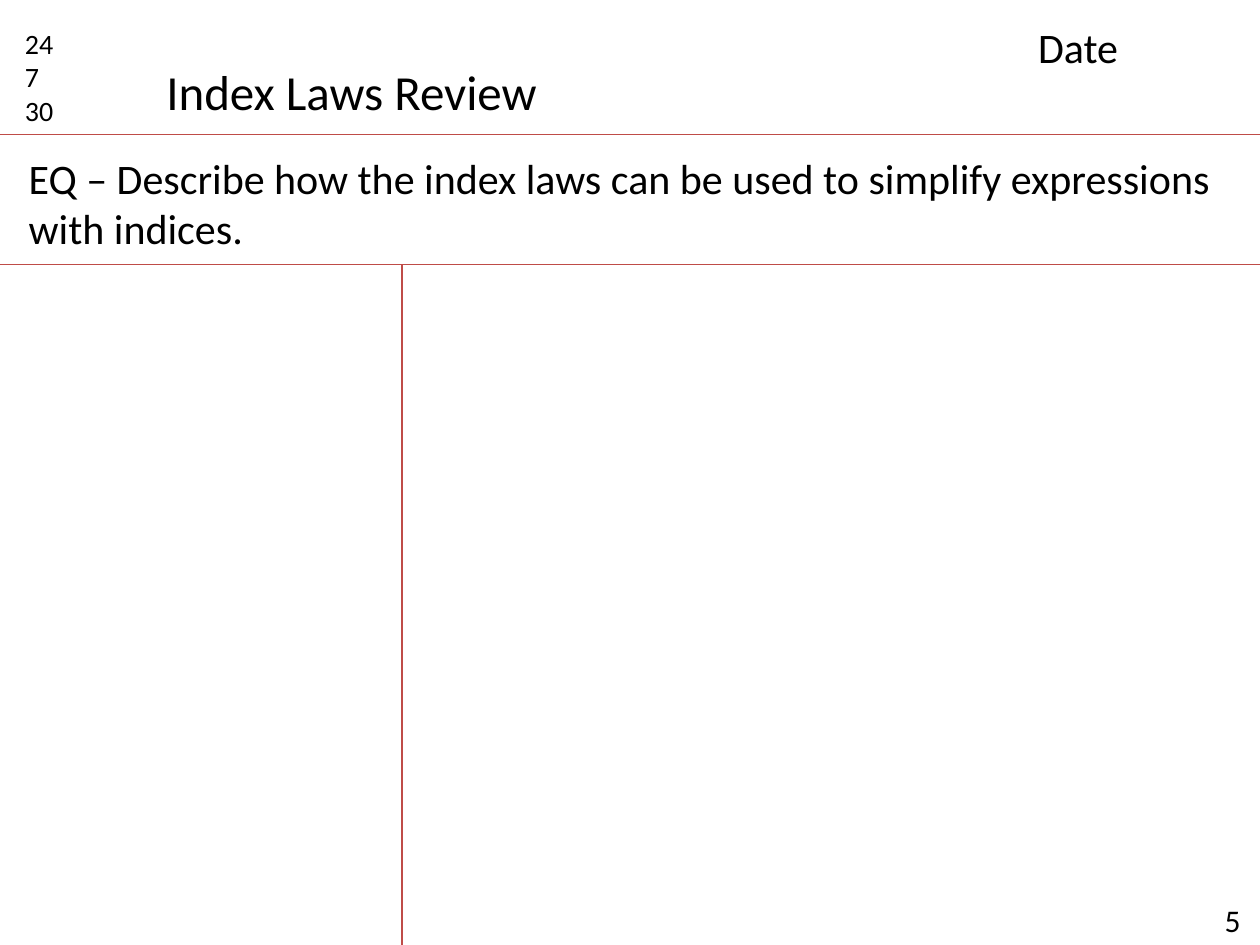
from lxml.etree import SubElement
from pptx import Presentation
from pptx.dml.color import RGBColor
from pptx.enum.shapes import MSO_CONNECTOR
from pptx.enum.text import MSO_ANCHOR, PP_ALIGN
from pptx.oxml.ns import qn
from pptx.util import Inches, Pt

HEADER_BOTTOM = 1.07
QUESTION_BOTTOM = 2.1
NOTES_LEFT = 3.19


def color(value):
    return RGBColor.from_string(value)


def place(shape, left, top, width, height):
    shape.left, shape.top = Inches(left), Inches(top)
    shape.width, shape.height = Inches(width), Inches(height)


def write_text(shape, text, size=24, wrap=True):
    frame = shape.text_frame
    frame.text = text
    frame.word_wrap = wrap
    frame.vertical_anchor = MSO_ANCHOR.TOP
    for paragraph in frame.paragraphs:
        paragraph.alignment = PP_ALIGN.LEFT
        paragraph.font.name = "Calibri"
        paragraph.font.size = Pt(size)
        paragraph.font.color.rgb = color("000000")


def add_text(slide, text, left, top, width, height, **text_format):
    shape = slide.shapes.add_textbox(
        Inches(left), Inches(top), Inches(width), Inches(height)
    )
    write_text(shape, text, **text_format)


def add_rule(slide, start_x, start_y, end_x, end_y):
    connector = slide.shapes.add_connector(
        MSO_CONNECTOR.STRAIGHT,
        Inches(start_x), Inches(start_y), Inches(end_x), Inches(end_y),
    )
    connector.line.color.rgb = color("BF4C48")
    connector.line.width = Pt(0.75)
    SubElement(connector._element.spPr, qn("a:effectLst"))


def main():
    presentation = Presentation()
    presentation.slide_width = Inches(10)
    presentation.slide_height = Inches(7.5)
    slide = presentation.slides.add_slide(presentation.slide_layouts[5])

    title = slide.shapes.title
    place(title, 1.22, 0.44, 3.17, 0.57)
    write_text(title, "Index Laws Review", size=28, wrap=False)

    for height in (HEADER_BOTTOM, QUESTION_BOTTOM):
        add_rule(slide, 0, height, 10, height)
    add_rule(slide, NOTES_LEFT, QUESTION_BOTTOM, NOTES_LEFT, 7.5)

    add_text(slide, "24\n7\n30", 0.1, 0.16, 0.63, 0.91, size=16)
    add_text(slide, "Date", 8.14, 0.12, 1.73, 0.5)
    add_text(
        slide,
        "EQ – Describe how the index laws can be used to simplify expressions with indices.",
        0.13, 1.16, 9.67, 0.91,
    )
    add_text(slide, "5", 9.62, 7.1, 0.38, 0.4, size=18)

    presentation.save("out.pptx")


if __name__ == "__main__":
    main()
